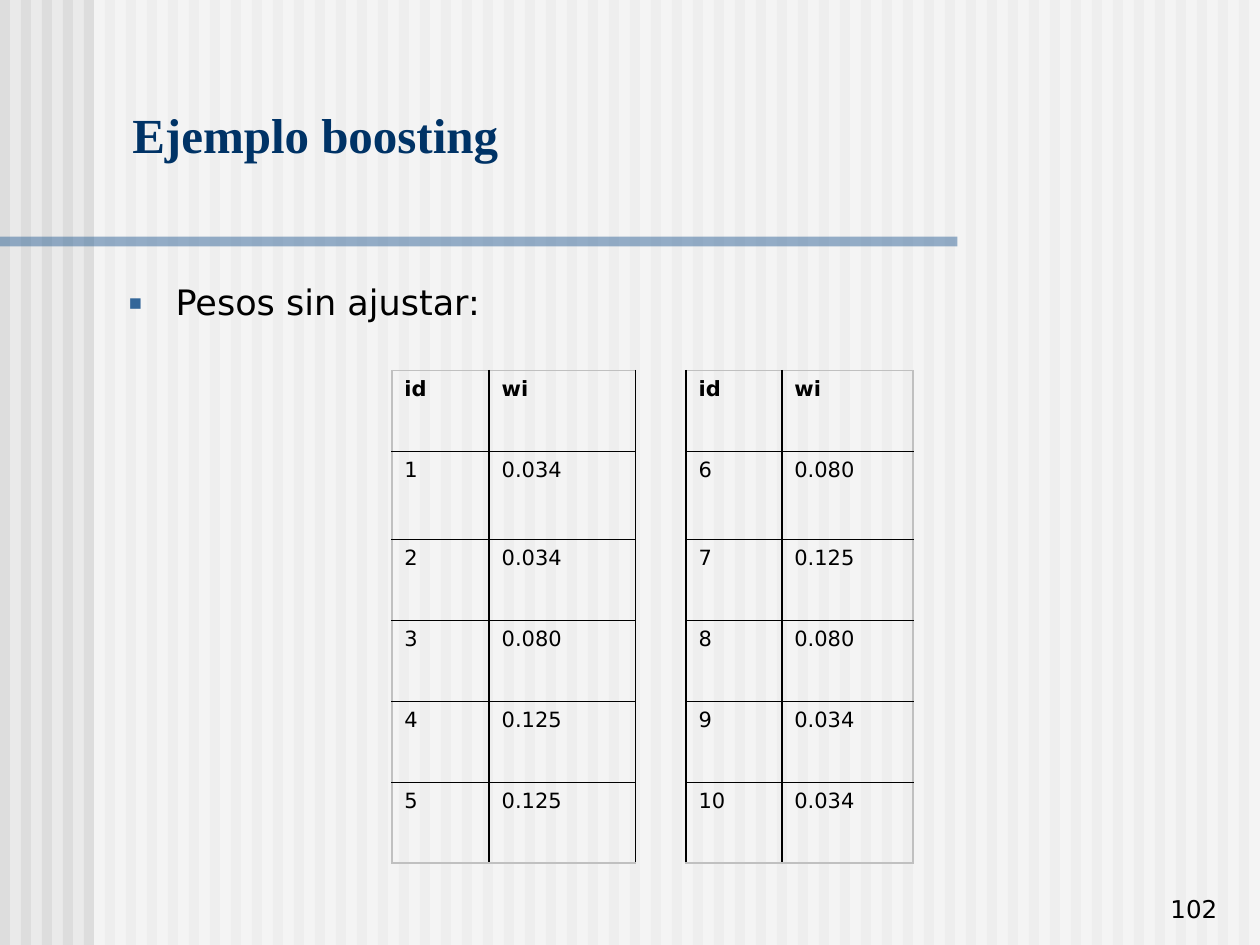
import pptx
import pptx.dml.color
import pptx.enum.shapes
import pptx.enum.text
import pptx.util
from lxml import etree
from pptx.oxml.ns import qn
from pptx.util import Cm, Pt

SANS, SERIF = "DejaVu Sans", "Times New Roman"
BLACK, NAVY, BLUE, OUTER_GREY = "000000", "003366", "336699", "C0C0C0"
WIDTH, HEIGHT = 25.4, 19.05

TITLE = "Ejemplo boosting"
BULLET = "Pesos sin ajustar:"
PAGE_NUMBER = "102"
WEIGHTS = [
    ("id", "wi", "", "id", "wi"),
    ("1", "0.034", "", "6", "0.080"),
    ("2", "0.034", "", "7", "0.125"),
    ("3", "0.080", "", "8", "0.080"),
    ("4", "0.125", "", "9", "0.034"),
    ("5", "0.125", "", "10", "0.034"),
]
COLUMN_WIDTHS = [1.96, 2.95, 1.02, 1.93, 2.64]
ROW_HEIGHTS = [1.63, 1.78, 1.63, 1.63, 1.63, 1.63]
GAP_COLUMN = 2
STRIPE_COUNT, STRIPE_WIDTH = 60, 0.2

ALIGN = pptx.enum.text.PP_ALIGN
ANCHOR = pptx.enum.text.MSO_ANCHOR


def rgb(value):
    return pptx.dml.color.RGBColor.from_string(value)


def add_element(parent, tag, **attributes):
    return etree.SubElement(parent, qn(tag), attributes)


def add_bar(shapes, left, top, width, height, color, opacity=100):
    shape = shapes.add_shape(pptx.enum.shapes.MSO_SHAPE.RECTANGLE,
                             Cm(left), Cm(top), Cm(width), Cm(height))
    shape.shadow.inherit = False
    shape.line.fill.background()
    shape.fill.solid()
    shape.fill.fore_color.rgb = rgb(color)
    if opacity < 100:
        fill_color = shape.fill._xPr.find(".//" + qn("a:srgbClr"))
        add_element(fill_color, "a:alpha", val=str(opacity * 1000))


def style_font(paragraph, name, size, color, bold=False):
    font = paragraph.font
    font.name, font.size, font.bold = name, Pt(size), bold
    font.color.rgb = rgb(color)


def add_text(slide, text, box, anchor, align, name, size, color, bold=False):
    frame = slide.shapes.add_textbox(*map(Cm, box)).text_frame
    frame.word_wrap = True
    frame.vertical_anchor = anchor
    paragraph = frame.paragraphs[0]
    paragraph.text = text
    paragraph.alignment = align
    style_font(paragraph, name, size, color, bold)
    return frame


def add_bullet(paragraph):
    paragraph.space_after = Pt(6)
    properties = paragraph._p.get_or_add_pPr()
    properties.set("marL", str(Cm(0.95)))
    properties.set("indent", str(Cm(-0.95)))
    bullet_color = add_element(properties, "a:buClr")
    add_element(bullet_color, "a:srgbClr", val=BLUE)
    add_element(properties, "a:buSzPct", val="60000")
    add_element(properties, "a:buFont", typeface=SANS)
    add_element(properties, "a:buChar", char="▪")
    # Bullet settings come before the default run properties
    default_run = properties.find(qn("a:defRPr"))
    if default_run is not None:
        properties.append(default_run)


def set_borders(cell, colors):
    """Draw left, right, top and bottom borders; None leaves a side open."""
    properties = cell._tc.get_or_add_tcPr()
    for side, color in zip("LRTB", colors):
        line = add_element(properties, "a:ln" + side, w=str(Pt(1)))
        if color is None:
            add_element(line, "a:noFill")
        else:
            fill = add_element(line, "a:solidFill")
            add_element(fill, "a:srgbClr", val=color)


def border_colors(row, column):
    if column == GAP_COLUMN:
        return BLACK, BLACK, None, None
    on_edge = (column == 0, column == len(COLUMN_WIDTHS) - 1,
               row == 0, row == len(ROW_HEIGHTS) - 1)
    return [OUTER_GREY if edge else BLACK for edge in on_edge]


def add_weight_table(slide, left, top):
    table = slide.shapes.add_table(
        len(ROW_HEIGHTS), len(COLUMN_WIDTHS), Cm(left), Cm(top),
        Cm(sum(COLUMN_WIDTHS)), Cm(sum(ROW_HEIGHTS))).table
    table.first_row = table.horz_banding = False
    for column, width in zip(table.columns, COLUMN_WIDTHS):
        column.width = Cm(width)
    for row, height in zip(table.rows, ROW_HEIGHTS):
        row.height = Cm(height)
    for row, values in enumerate(WEIGHTS):
        for column, value in enumerate(values):
            cell = table.cell(row, column)
            set_borders(cell, border_colors(row, column))
            cell.fill.background()
            cell.text = value
            style_font(cell.text_frame.paragraphs[0], SANS, 12, BLACK, bold=row == 0)


def add_background(slide):
    slide.background.fill.solid()
    slide.background.fill.fore_color.rgb = rgb("EAEAEA")
    stripes = slide.shapes.add_group_shape().shapes
    for index in range(STRIPE_COUNT):
        add_bar(stripes, index * WIDTH / STRIPE_COUNT, 0, STRIPE_WIDTH, HEIGHT, "DDDDDD")
    add_bar(stripes, 1.9, 0, WIDTH - 1.9, HEIGHT, "FFFFFF", opacity=50)
    add_bar(slide.shapes, 0, 4.77, 19.3, 0.2, BLUE, opacity=50)


def main():
    presentation = pptx.Presentation()
    presentation.slide_width, presentation.slide_height = Cm(WIDTH), Cm(HEIGHT)
    slide = presentation.slides.add_slide(presentation.slide_layouts[6])
    add_background(slide)
    add_text(slide, PAGE_NUMBER, (19.5, 17.48, 5.29, 1.27), ANCHOR.BOTTOM,
             ALIGN.RIGHT, SANS, 14, BLACK)
    title = add_text(slide, TITLE, (2.42, 1.88, 22.68, 2.62), ANCHOR.TOP,
                     ALIGN.LEFT, SERIF, 28, NAVY, bold=True)
    title.margin_top = Cm(0.23)
    body = add_text(slide, BULLET, (2.34, 5.54, 21.39, 1.12), ANCHOR.TOP,
                    ALIGN.JUSTIFY, SANS, 20, BLACK)
    add_bullet(body.paragraphs[0])
    add_weight_table(slide, 7.9, 7.47)
    presentation.save("out.pptx")


if __name__ == "__main__":
    main()
